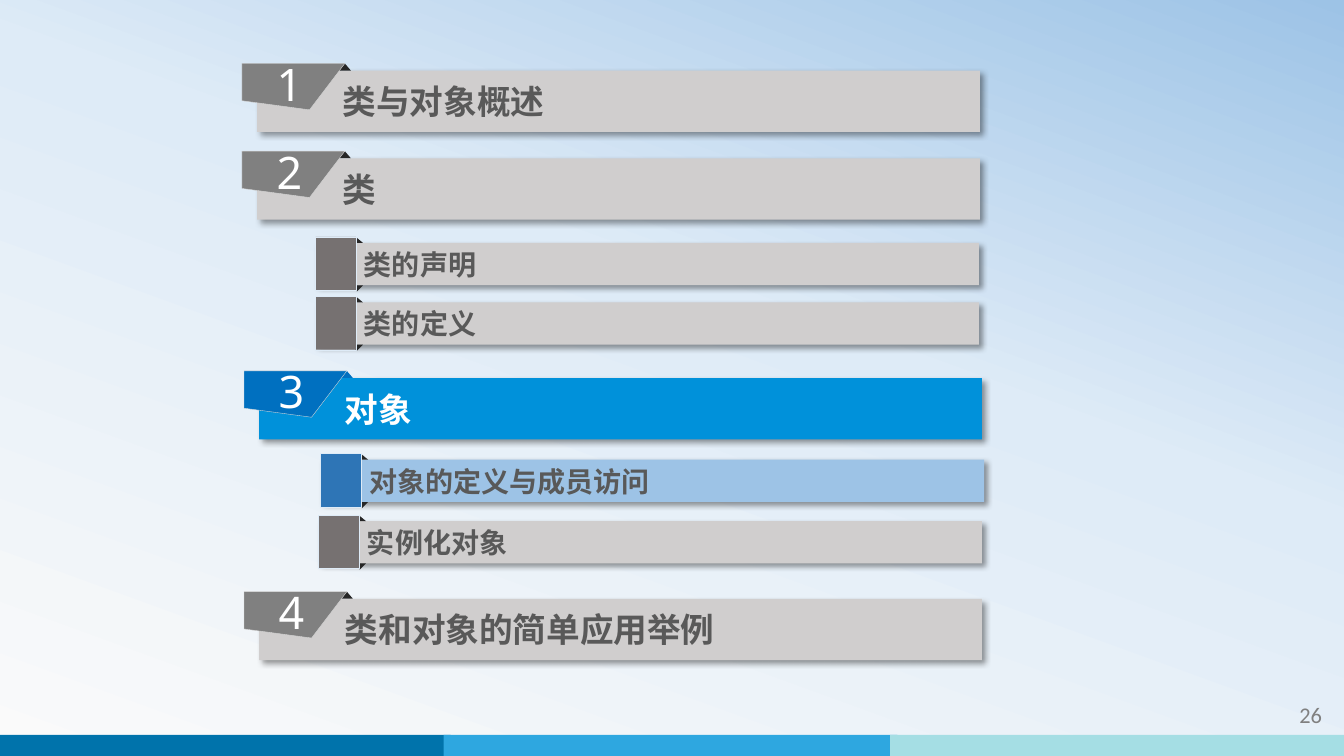
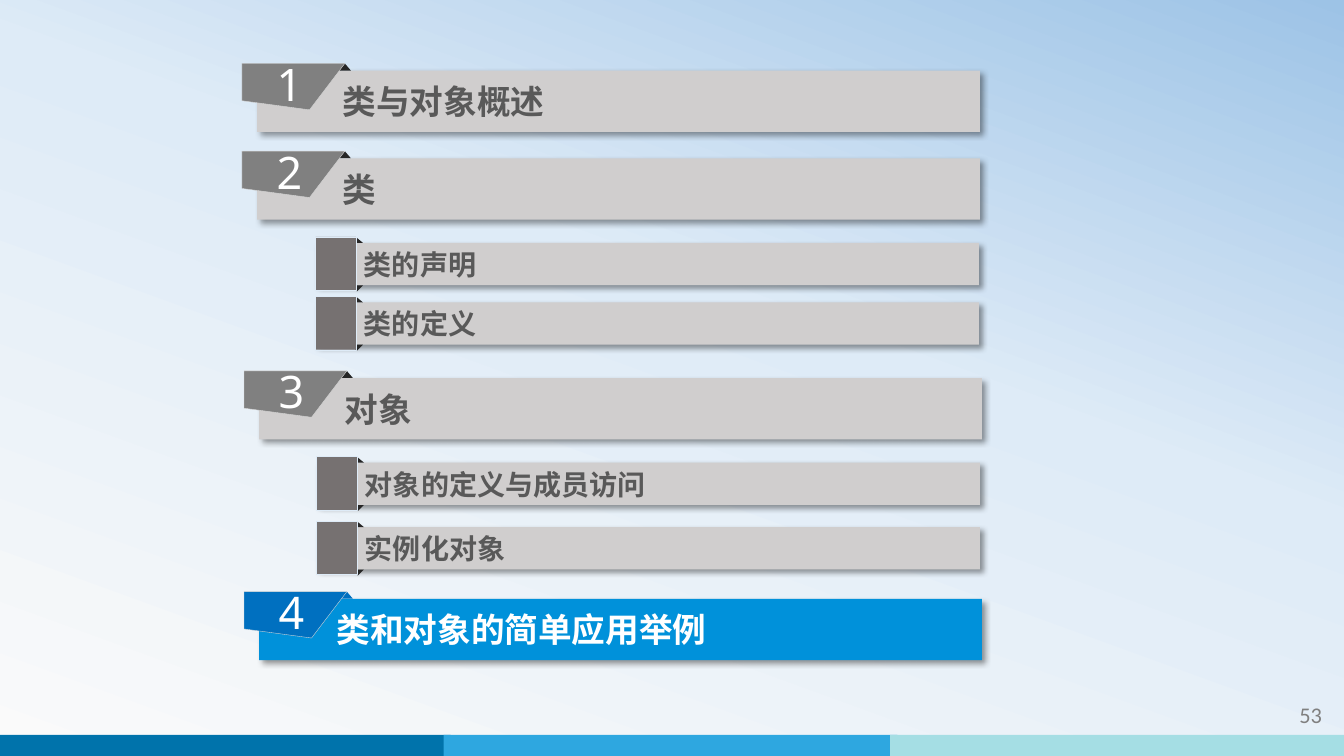
from copy import deepcopy
from dataclasses import dataclass

from lxml import etree
from pptx import Presentation
from pptx import util as u
from pptx.dml.color import RGBColor
from pptx.enum import shapes, text
from pptx.oxml.ns import qn


# Theme: colours, fonts and type sizes
@dataclass(frozen=True)
class Theme:
    sky: tuple = ((0, "FAFAFA"), (0.58, "DEEBF7"), (1, "9DC3E6"))
    bands: tuple = ("0073AB", "2EA7E0", "A5DEE4")
    bar: str = "D0CECE"
    tab: str = "808080"
    marker: str = "767171"
    fold: str = "262626"
    bar_active: str = "0091DA"
    tab_active: str = "0070C0"
    sub_active: str = "9DC3E6"
    marker_active: str = "2E75B6"
    tab_edge: str = "D9D9D9"
    marker_edge: str = "DEEBF7"
    ink: str = "595959"
    white: str = "FFFFFF"
    page_ink: str = "808080"
    heading_font: str = "Noto Sans CJK SC"
    digit_font: str = "Noto Sans"
    page_font: str = "Calibri"
    section_size: int = 24
    topic_size: int = 20
    digit_size: int = 32
    page_size: int = 16


T = Theme()
RECT = shapes.MSO_SHAPE.RECTANGLE
TRIANGLE = shapes.MSO_SHAPE.ISOSCELES_TRIANGLE


# Basic elements
def paint(shape, fill, edge=None):
    shape.shadow.inherit = False
    shape.fill.solid()
    shape.fill.fore_color.rgb = RGBColor.from_string(fill)
    if edge:
        shape.line.color.rgb = RGBColor.from_string(edge)
        shape.line.width = u.Pt(0.25)
    else:
        shape.line.fill.background()


def add_block(parent, kind, left, top, width, height, fill, edge=None):
    block = parent.shapes.add_shape(kind, *map(u.Inches, (left, top, width, height)))
    paint(block, fill, edge)
    return block


def drop_shadow(shape):
    effects = shape.element.spPr.find(qn("a:effectLst"))
    shadow = etree.SubElement(effects, qn("a:outerShdw"), blurRad=str(u.Pt(4)),
                              dist=str(u.Pt(3)), dir="2700000", algn="tl",
                              rotWithShape="0")
    black = etree.SubElement(shadow, qn("a:srgbClr"), val="000000")
    etree.SubElement(black, qn("a:alpha"), val="40000")


def write(shape, words, font, size, color, align, bold=False,
          anchor=text.MSO_ANCHOR.MIDDLE, insets=(0.1, 0.05, 0.1, 0.05)):
    frame = shape.text_frame
    frame.word_wrap = True
    frame.vertical_anchor = anchor
    (frame.margin_left, frame.margin_top,
     frame.margin_right, frame.margin_bottom) = map(u.Inches, insets)
    paragraph = frame.paragraphs[0]
    paragraph.alignment = align
    run = paragraph.add_run()
    run.text = words
    run.font.name = font
    run.font.size = u.Pt(size)
    run.font.bold = bold
    run.font.color.rgb = RGBColor.from_string(color)
    etree.SubElement(run.font._element, qn("a:ea"), typeface=font)


def add_bar(group, left, top, width, height, fill, title, size, ink, indent):
    bar = add_block(group, RECT, left, top, width, height, fill)
    drop_shadow(bar)
    write(bar, title, T.heading_font, size, ink, text.PP_ALIGN.LEFT, bold=True,
          insets=(indent, 0.05, 0.1, 0.05))


# Agenda entries
def add_section(slide, number, title, left, top, active=False, indent=0.85):
    group = slide.shapes.add_group_shape()
    add_bar(group, left, top, 7.17, 0.61, T.bar_active if active else T.bar,
            title, T.section_size, T.white if active else T.ink, indent)
    add_block(group, TRIANGLE, left + 0.81, top - 0.07, 0.12, 0.07,
              T.tab_active if active else T.fold)

    corners = [(u.Inches(left - 0.15 + x), u.Inches(top - 0.07 + y))
               for x, y in ((0, 0), (1.02, 0), (0.67, 0.46), (0, 0.37))]
    outline = group.shapes.build_freeform(*corners[0])
    outline.add_line_segments(corners[1:], close=True)
    tab = outline.convert_to_shape()
    paint(tab, T.tab_active if active else T.tab, T.tab_edge)
    write(tab, str(number), T.digit_font, T.digit_size, T.white,
          text.PP_ALIGN.CENTER, insets=(0.09, 0.04, 0.17, 0.1))


def add_topic(slide, title, left, top, active=False):
    group = slide.shapes.add_group_shape()
    add_bar(group, left, top, 6.57, 0.42, T.sub_active if active else T.bar,
            title, T.topic_size, T.ink, indent=0.47)
    add_block(group, TRIANGLE, left + 0.34, top - 0.05, 0.12, 0.05, T.fold)
    lower_fold = add_block(group, TRIANGLE, left + 0.34, top + 0.42, 0.12, 0.06, T.fold)
    lower_fold.rotation = 180
    add_block(group, RECT, left - 0.01, top - 0.06, 0.4, 0.53,
              T.marker_active if active else T.marker, T.marker_edge)


# Shared background and footer
def set_sky(master):
    sky = master.background.fill
    sky.gradient()
    sky.gradient_angle = 70
    first = master.element.cSld.find(".//" + qn("a:gs"))
    first.addnext(deepcopy(first))
    for stop, (position, color) in zip(sky.gradient_stops, T.sky):
        stop.position = position
        stop.color.rgb = RGBColor.from_string(color)


def add_footer(slide, page):
    bands = slide.shapes.add_group_shape()
    for i, color in enumerate(T.bands):
        add_block(bands, RECT, -0.03 + 4.43 * i, 7.29, 4.5, 0.21, color)
    page_number = slide.shapes.add_textbox(*map(u.Inches, (11.62, 6.91, 1.59, 0.4)))
    write(page_number, str(page), T.page_font, T.page_size, T.page_ink,
          text.PP_ALIGN.RIGHT, anchor=text.MSO_ANCHOR.TOP)


def add_agenda(prs, page, current, members, instances, last_indent=0.85):
    """members and instances: left, top and active state of the object topics."""
    slide = prs.slides.add_slide(prs.slide_layouts[6])
    add_footer(slide, page)
    add_section(slide, 1, "类与对象概述", 2.55, 0.7)
    add_section(slide, 2, "类", 2.55, 1.57)
    add_topic(slide, "类的声明", 3.14, 2.41)
    add_topic(slide, "类的定义", 3.14, 3)
    add_section(slide, 3, "对象", 2.57, 3.75, current == 3)
    add_topic(slide, "对象的定义与成员访问", *members)
    add_topic(slide, "实例化对象", *instances)
    add_section(slide, 4, "类和对象的简单应用举例", 2.57, 5.94, current == 4, last_indent)


def main():
    prs = Presentation()
    prs.slide_width, prs.slide_height = u.Inches(13.33), u.Inches(7.5)
    set_sky(prs.slide_master)
    add_agenda(prs, 26, 3, members=(3.19, 4.56, True), instances=(3.17, 5.17))
    add_agenda(prs, 53, 4, members=(3.15, 4.59), instances=(3.15, 5.23),
               last_indent=0.77)
    prs.save("out.pptx")


main()
